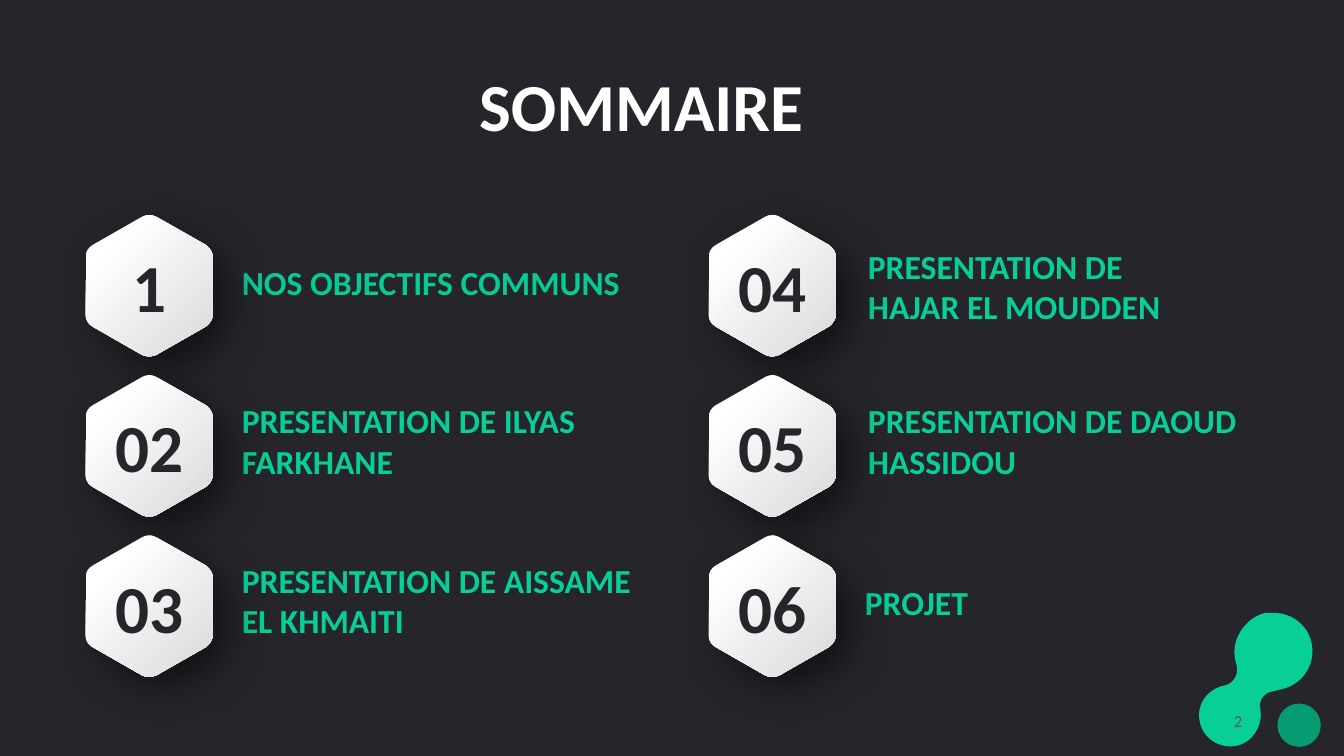
import lxml.etree
import pptx
import pptx.dml.color
import pptx.enum.shapes
import pptx.enum.text
import pptx.oxml.ns
import pptx.util

Inches = pptx.util.Inches
Pt = pptx.util.Pt
ALIGN = pptx.enum.text.PP_ALIGN
ANCHOR = pptx.enum.text.MSO_ANCHOR
qn = pptx.oxml.ns.qn

THEME = {
    "font": "Calibri",
    "dark": "25252B",
    "white": "FFFFFF",
    "silver": "DAD9D9",
    "green": "08CF96",
    "soft_green": "08CB93",
    "deep_green": "069B71",
    "gray": "575765",
    "shadow": "000000",
    "heading": 48,
    "label": 24,
    "page": 12,
}

ITEMS = [
    ("1", "NOS OBJECTIFS COMMUNS", (2.3, 2.39, 4.13, 0.61), "soft_green"),
    ("02", "PRESENTATION DE ILYAS FARKHANE", (2.3, 3.76, 4.36, 1.01), "green"),
    ("03", "PRESENTATION DE AISSAME EL KHMAITI", (2.3, 5.34, 4.36, 1.01), "green"),
    ("04", "PRESENTATION DE HAJAR EL MOUDDEN", (8.51, 2.23, 3.63, 1.01), "green"),
    ("05", "PRESENTATION DE DAOUD HASSIDOU", (8.51, 3.76, 4.41, 1.01), "green"),
    ("06", "PROJET", (8.48, 5.56, 3.63, 0.61), "green"),
]
ROWS = 3

HEXAGON = [
    [(0.63, 0)],
    [(0.65, 0), (0.68, 0.01), (0.7, 0.02)],
    [(1.19, 0.3)],
    [(1.23, 0.33), (1.26, 0.37), (1.26, 0.42)],
    [(1.26, 0.99)],
    [(1.26, 1.04), (1.23, 1.08), (1.19, 1.11)],
    [(0.7, 1.39)],
    [(0.66, 1.41), (0.6, 1.41), (0.56, 1.39)],
    [(0.07, 1.11)],
    [(0.02, 1.08), (0, 1.04), (0, 0.99)],
    [(0, 0.42)],
    [(0, 0.37), (0.02, 0.33), (0.07, 0.3)],
    [(0.56, 0.02)],
    [(0.58, 0.01), (0.6, 0), (0.63, 0)],
]

BLOB = [
    [(1.15, 0.31)],
    [(1.19, 0.52), (1.05, 0.72), (0.84, 0.76)],
    [(0.76, 0.78)],
    [(0.68, 0.79), (0.62, 0.87), (0.64, 0.95)],
    [(0.67, 1.12), (0.56, 1.29), (0.4, 1.32)],
    [(0.23, 1.35), (0.07, 1.24), (0.04, 1.08)],
    [(0, 0.91), (0.12, 0.75), (0.29, 0.72)],
    [(0.37, 0.7), (0.42, 0.62), (0.41, 0.54)],
    [(0.39, 0.46)],
    [(0.35, 0.26), (0.49, 0.05), (0.69, 0)],
    [(0.72, 0), (0.75, 0), (0.77, 0)],
    [(0.96, 0), (1.12, 0.13), (1.15, 0.31)],
]


def color(name):
    return pptx.dml.color.RGBColor.from_string(THEME[name])


def set_all(target, values):
    for name, value in values.items():
        setattr(target, name, value)


def add_outline(shapes, segments, left, top):
    points = [(Inches(left + x), Inches(top + y)) for seg in segments for x, y in seg]
    builder = shapes.build_freeform(*points[0], scale=1.0)
    builder.add_line_segments(points[1:], close=True)
    sp = builder.convert_to_shape()
    route = sp._element.spPr.find(".//" + qn("a:path"))
    lines = iter(route.findall(qn("a:lnTo")))
    for segment in segments[1:]:
        legs = [next(lines) for _ in segment]
        if len(legs) == 3:
            bend = lxml.etree.Element(qn("a:cubicBezTo"))
            legs[0].addprevious(bend)
            for leg in legs:
                bend.append(leg[0])
                route.remove(leg)
    sp.shadow.inherit = False
    sp.line.fill.background()
    return sp


def write(sp, text, size, ink, align, anchor, insets, bold=True, spacing=1.0):
    tf = sp.text_frame
    frame = {"word_wrap": True, "vertical_anchor": anchor}
    sides = ("margin_left", "margin_top", "margin_right", "margin_bottom")
    frame.update(zip(sides, map(Inches, insets)))
    set_all(tf, frame)
    p = tf.paragraphs[0]
    set_all(p, {"alignment": align, "line_spacing": spacing})
    r = p.add_run()
    r.text = text
    set_all(r.font, {"name": THEME["font"], "size": Pt(THEME[size]), "bold": bold})
    r.font.color.rgb = color(ink)


def add_text(s, box, *args, **kwargs):
    write(s.shapes.add_textbox(*map(Inches, box)), *args, **kwargs)


def add_soft_shadow(sp):
    effects = sp._element.spPr.find(qn("a:effectLst"))
    shadow = lxml.etree.SubElement(
        effects, qn("a:outerShdw"), blurRad=str(Pt(30)), dist=str(Pt(14)),
        dir=str(45 * 60000), algn="tl", rotWithShape="0")
    ink = lxml.etree.SubElement(shadow, qn("a:srgbClr"), val=THEME["shadow"])
    lxml.etree.SubElement(ink, qn("a:alpha"), val="50000")


def draw_badge(s, left, top, number):
    sp = add_outline(s.shapes, HEXAGON, left, top)
    sp.fill.gradient()
    sp.fill.gradient_angle = 315
    for stop, place, name in zip(sp.fill.gradient_stops, (0.2, 1), ("white", "silver")):
        stop.position = place
        stop.color.rgb = color(name)
    add_soft_shadow(sp)
    write(sp, number, "heading", "dark", ALIGN.CENTER, ANCHOR.MIDDLE, (0.06, 0.03, 0.06, 0.03))


def draw_title(s, box):
    add_text(s, box, "SOMMAIRE", "heading", "white", ALIGN.CENTER, ANCHOR.BOTTOM,
             (0.1, 0.05, 0.1, 0), spacing=0.9)


def draw_agenda(s, left, top, column_gap, row_gap):
    for _, text, box, ink in ITEMS:
        add_text(s, box, text, "label", ink, ALIGN.LEFT, ANCHOR.BOTTOM, (0.1, 0.2, 0.1, 0))
    for i, item in enumerate(ITEMS):
        column, row = divmod(i, ROWS)
        draw_badge(s, left + column * column_gap, top + row * row_gap, item[0])


def draw_corner(s, left, top):
    group = s.shapes.add_group_shape()
    blob = add_outline(group.shapes, BLOB, left, top)
    dot = group.shapes.add_shape(
        pptx.enum.shapes.MSO_SHAPE.OVAL,
        Inches(left + 0.81), Inches(top + 0.9), Inches(0.43), Inches(0.43))
    dot.shadow.inherit = False
    dot.line.fill.background()
    for sp, name in ((blob, "green"), (dot, "deep_green")):
        sp.fill.solid()
        sp.fill.fore_color.rgb = color(name)


def draw_page_number(s, box):
    add_text(s, box, "2", "page", "gray", ALIGN.RIGHT, ANCHOR.MIDDLE,
             (0.1, 0.05, 0.1, 0.05), bold=False)


def main():
    prs = pptx.Presentation()
    set_all(prs, {"slide_width": Inches(13.33), "slide_height": Inches(7.5)})
    s = prs.slides.add_slide(prs.slide_layouts[6])
    s.background.fill.solid()
    s.background.fill.fore_color.rgb = color("dark")
    draw_corner(s, 11.86, 6.08)
    draw_title(s, (0.61, 0, 11.5, 1.45))
    draw_page_number(s, (9.42, 6.95, 3, 0.4))
    draw_agenda(s, 0.85, 2.13, 6.18, 1.59)
    prs.save("out.pptx")


if __name__ == "__main__":
    main()
